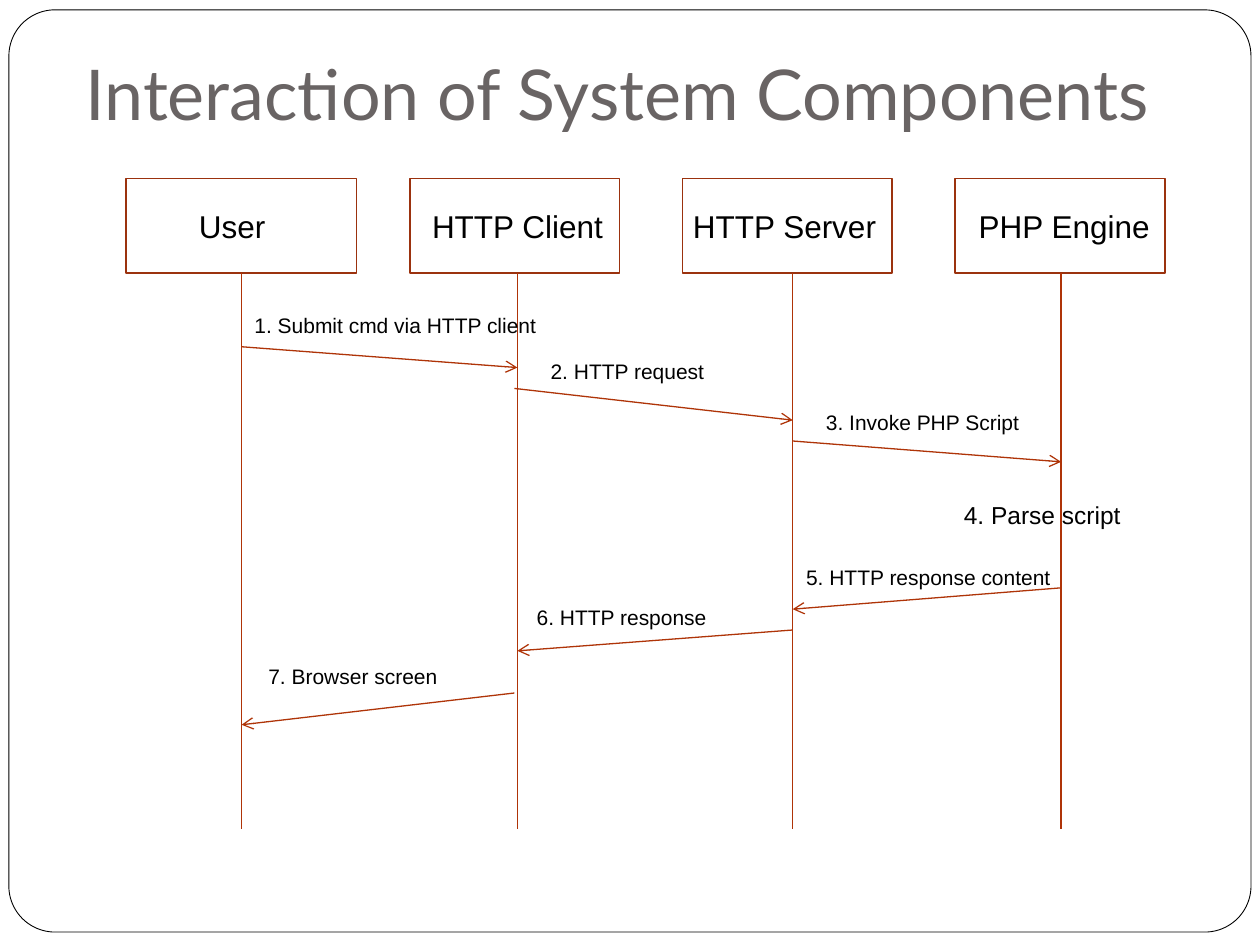
from typing import NamedTuple

from lxml import etree
from pptx import Presentation
from pptx import util as u
from pptx.dml.color import RGBColor
from pptx.enum import shapes, text
from pptx.oxml import ns

BLACK, WHITE, GREY = "000000", "FFFFFF", "696464"
BOX_LINE, ARROW_LINE = "9B320E", "AF3408"
BOX_TOP, BOX_HEIGHT = 3.6, 1.9
LIFELINE_END = 16.72


class Component(NamedTuple):
    name: str
    left: float
    width: float
    label_left: float
    label_width: float
    lifeline: float


class Message(NamedTuple):
    start: tuple[float, float]
    end: tuple[float, float]


class Label(NamedTuple):
    words: str
    left: float
    top: float
    width: float
    height: float = 0.77
    size: int = 12


USER, CLIENT, SERVER, ENGINE = 4.87, 10.43, 15.98, 21.39
CLIENT_EDGE = 10.37

COMPONENTS = [
    Component("User", 2.54, 4.65, 3.76, 2.2, USER),
    Component("HTTP Client", 8.26, 4.23, 8.46, 4.1, CLIENT),
    Component("HTTP Server", 13.76, 4.23, 13.72, 4.5, SERVER),
    Component("PHP Engine", 19.26, 4.23, 19.48, 4.5, ENGINE),
]
MESSAGES = [
    Message((USER, 6.99), (CLIENT, 7.41)),
    Message((CLIENT_EDGE, 7.83), (SERVER, 8.47)),
    Message((SERVER, 8.89), (ENGINE, 9.31)),
    Message((ENGINE, 11.85), (SERVER, 12.28)),
    Message((SERVER, 12.7), (CLIENT, 13.12)),
    Message((CLIENT_EDGE, 13.97), (USER, 14.61)),
]
LABELS = [
    Label("1. Submit cmd via HTTP client", 4.88, 6.17, 6.55),
    Label("2. HTTP request", 10.85, 7.11, 5.2),
    Label("3. Invoke PHP Script", 16.4, 8.13, 5.2),
    Label("5. HTTP response content", 16.0, 11.25, 6.17),
    Label("6. HTTP response", 10.57, 12.07, 5.2),
    Label("7. Browser screen", 5.16, 13.26, 5.2),
    Label("4. Parse script", 19.18, 9.96, 4.65, 0.86, 14),
]


def color(value: str) -> RGBColor:
    return RGBColor.from_string(value)


def format_text(frame, words: str, size: float, font: str, ink: str) -> None:
    frame.text = words
    para = frame.paragraphs[0]
    para.alignment = text.PP_ALIGN.LEFT
    span = para.runs[0].font
    span.size, span.name = u.Pt(size), font
    span.color.rgb = color(ink)


def add_title(slide, words: str) -> None:
    title = slide.shapes.title
    title.left, title.top = u.Cm(1.47), u.Cm(0.76)
    title.width, title.height = u.Cm(22.66), u.Cm(2.21)
    frame = title.text_frame
    frame.auto_size = text.MSO_AUTO_SIZE.NONE
    frame.vertical_anchor = text.MSO_ANCHOR.BOTTOM
    frame.margin_bottom = u.Cm(0.25)
    format_text(frame, words, 40, "Lato", GREY)


def add_outline(slide, kind, left: float, top: float, width: float,
                height: float, line: str, weight: float):
    shape = slide.shapes.add_shape(
        kind, u.Cm(left), u.Cm(top), u.Cm(width), u.Cm(height))
    shape.shadow.inherit = False
    shape.fill.background()
    shape.line.color.rgb = color(line)
    shape.line.width = u.Pt(weight)
    return shape


def add_frame(slide) -> None:
    """Draw the rounded page border behind everything else."""
    frame = add_outline(slide, shapes.MSO_SHAPE.ROUNDED_RECTANGLE,
                        0.18, 0.2, 25.04, 18.59, BLACK, 0.5)
    frame.adjustments[0] = 0.05
    frame.fill.solid()
    frame.fill.fore_color.rgb = color(WHITE)
    slide.shapes.title.element.addprevious(frame.element)


def add_label(slide, label: Label) -> None:
    box = slide.shapes.add_textbox(
        u.Cm(label.left), u.Cm(label.top), u.Cm(label.width), u.Cm(label.height))
    box.text_frame.word_wrap = True
    format_text(box.text_frame, label.words, label.size, "Arial", BLACK)


def add_line(slide, start: tuple[float, float], end: tuple[float, float],
             arrow: bool = False) -> None:
    line = slide.shapes.add_connector(
        shapes.MSO_CONNECTOR.STRAIGHT, *map(u.Cm, start + end))
    line.line.color.rgb = color(ARROW_LINE)
    line.line.width = u.Pt(0.75)
    if arrow:
        etree.SubElement(line.line._get_or_add_ln(), ns.qn("a:tailEnd"), type="arrow")
    etree.SubElement(line.element.spPr, ns.qn("a:effectLst"))


def main() -> None:
    deck = Presentation()
    deck.slide_width, deck.slide_height = u.Cm(25.4), u.Cm(19.05)
    slide = deck.slides.add_slide(deck.slide_layouts[5])
    add_title(slide, "Interaction of System Components")
    add_frame(slide)
    for part in COMPONENTS:
        add_outline(slide, shapes.MSO_SHAPE.RECTANGLE, part.left, BOX_TOP,
                    part.width, BOX_HEIGHT, BOX_LINE, 1)
        add_label(slide, Label(part.name, part.label_left, 4.04,
                               part.label_width, 1.02, 18))
        add_line(slide, (part.lifeline, BOX_TOP + BOX_HEIGHT),
                 (part.lifeline, LIFELINE_END))
    for message in MESSAGES:
        add_line(slide, message.start, message.end, arrow=True)
    for label in LABELS:
        add_label(slide, label)
    deck.save("out.pptx")


if __name__ == "__main__":
    main()
